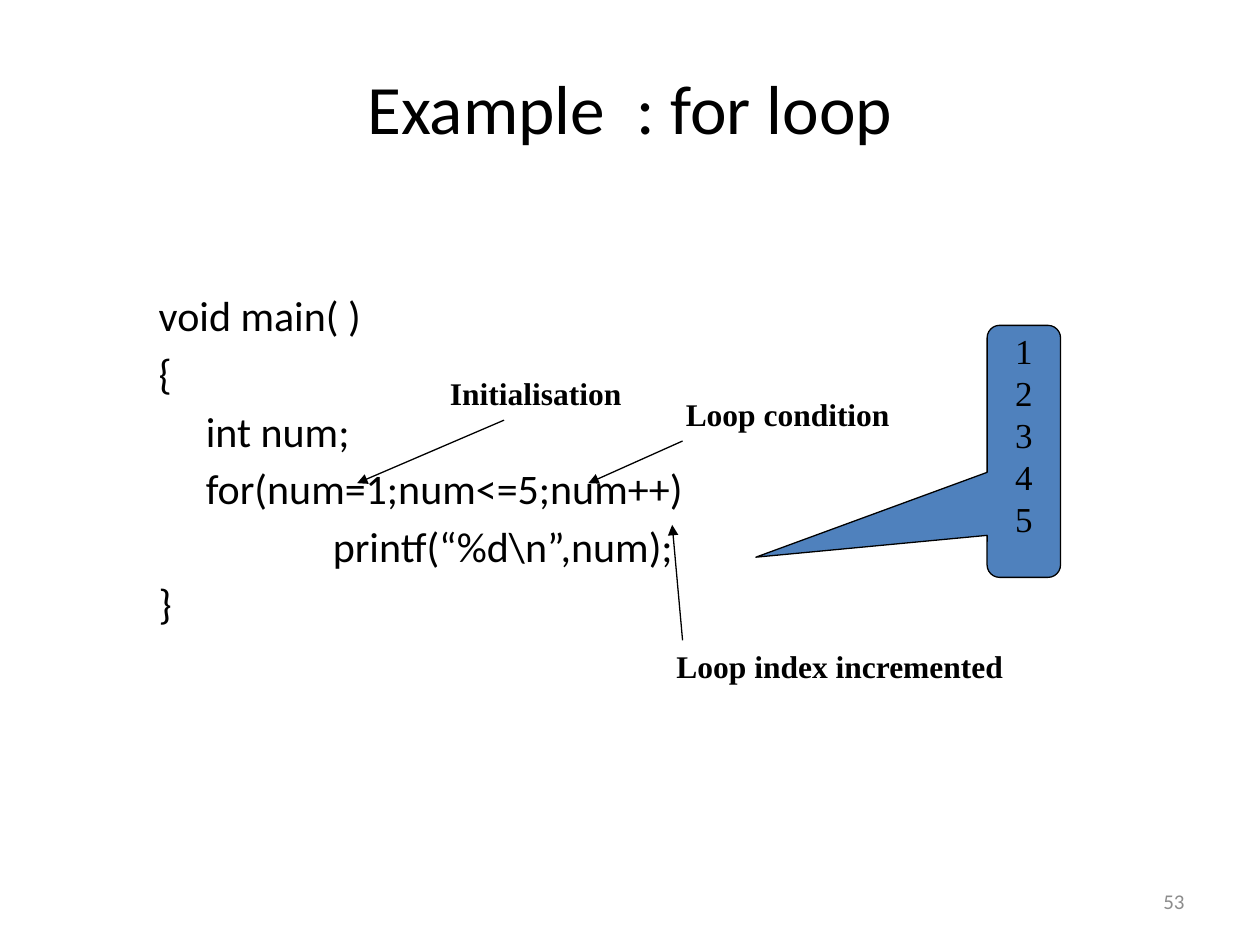
from lxml import etree
from pptx import Presentation
from pptx.dml.color import RGBColor
from pptx.enum.shapes import MSO_CONNECTOR, MSO_SHAPE
from pptx.enum.text import MSO_ANCHOR, PP_ALIGN
from pptx.oxml.ns import qn
from pptx.util import Cm, Pt

BLACK = RGBColor(0, 0, 0)
GREY = RGBColor(0x8C, 0x8C, 0x8C)
BLUE = RGBColor(0x4F, 0x81, 0xBD)
SANS, SERIF = "Calibri", "Times New Roman"


def write_lines(frame, lines, size, font, color=BLACK, bold=False,
                align=PP_ALIGN.LEFT, before=0, indents=None):
    frame.word_wrap = True
    for i, line in enumerate(lines):
        paragraph = frame.paragraphs[0] if i == 0 else frame.add_paragraph()
        paragraph.alignment = align
        paragraph.space_before = Pt(before)
        if indents:
            paragraph._p.get_or_add_pPr().set("marL", str(Cm(indents[i])))
        run = paragraph.add_run()
        run.text = line
        run.font.size = Pt(size)
        run.font.name = font
        run.font.bold = bold
        run.font.color.rgb = color


def add_text(slide, box, lines, size, font, anchor=MSO_ANCHOR.TOP, **style):
    frame = slide.shapes.add_textbox(*map(Cm, box)).text_frame
    frame.vertical_anchor = anchor
    write_lines(frame, lines, size, font, **style)


def add_code(slide, box):
    code = [
        (0, "void main( )"),
        (0, "{"),
        (0.95, "int num;"),
        (0.95, "for(num=1;num<=5;num++)"),
        (3.51, "printf(“%d\\n”,num);"),
        (0, "}"),
    ]
    indents, lines = zip(*code)
    add_text(slide, box, lines, 24, SANS, before=4.1, indents=indents)


def add_output_callout(slide, box):
    callout = slide.shapes.add_shape(
        MSO_SHAPE.ROUNDED_RECTANGULAR_CALLOUT, *map(Cm, box))
    callout.shadow.inherit = False
    for i, value in enumerate((-3.65, 0.42, 0.17)):
        callout.adjustments[i] = value
    callout.fill.solid()
    callout.fill.fore_color.rgb = BLUE
    callout.line.color.rgb = BLACK
    callout.line.width = Pt(0.75)
    frame = callout.text_frame
    frame.margin_top = frame.margin_bottom = 0
    frame.vertical_anchor = MSO_ANCHOR.TOP
    write_lines(frame, [str(n) for n in range(1, 6)], 20, SERIF,
                align=PP_ALIGN.CENTER)


def add_annotation(slide, box, label, start, end):
    left, top, width, height = box
    arrow = slide.shapes.add_connector(
        MSO_CONNECTOR.STRAIGHT,
        *(Cm(v) for v in (left + start[0], top + start[1],
                          left + end[0], top + end[1])))
    arrow.line.color.rgb = BLACK
    arrow.line.width = Pt(0.75)
    etree.SubElement(arrow.line._get_or_add_ln(), qn("a:tailEnd"), type="triangle")
    etree.SubElement(arrow._element.spPr, qn("a:effectLst"))
    add_text(slide, box, [label], 18, SERIF, bold=True, align=PP_ALIGN.CENTER)


def build_slide(prs):
    slide = prs.slides.add_slide(prs.slide_layouts[6])
    add_text(slide, (1.27, 1.42, 22.86, 1.47), ["Example  : for loop"], 39.6,
             SANS, anchor=MSO_ANCHOR.MIDDLE, align=PP_ALIGN.CENTER)
    add_code(slide, (2.95, 5.72, 15.24, 7.42))
    add_text(slide, (18.21, 17.65, 5.92, 1.02), ["53"], 12, SANS,
             anchor=MSO_ANCHOR.MIDDLE, color=GREY, align=PP_ALIGN.RIGHT)
    add_output_callout(slide, (19.9, 6.56, 1.48, 5.08))
    annotations = [
        ((8.68, 7.41, 4.24, 1.02), "Initialisation", (1.48, 1.06), (-1.48, 2.33)),
        ((13.55, 7.83, 4.66, 1.02), "Loop condition", (0.21, 1.06), (-1.69, 1.91)),
        ((13.12, 12.91, 7.62, 1.02), "Loop index incremented", (0.64, 0), (0.43, -2.33)),
    ]
    for annotation in annotations:
        add_annotation(slide, *annotation)


prs = Presentation()
prs.slide_width, prs.slide_height = Cm(25.4), Cm(19.05)
build_slide(prs)
prs.save("out.pptx")
